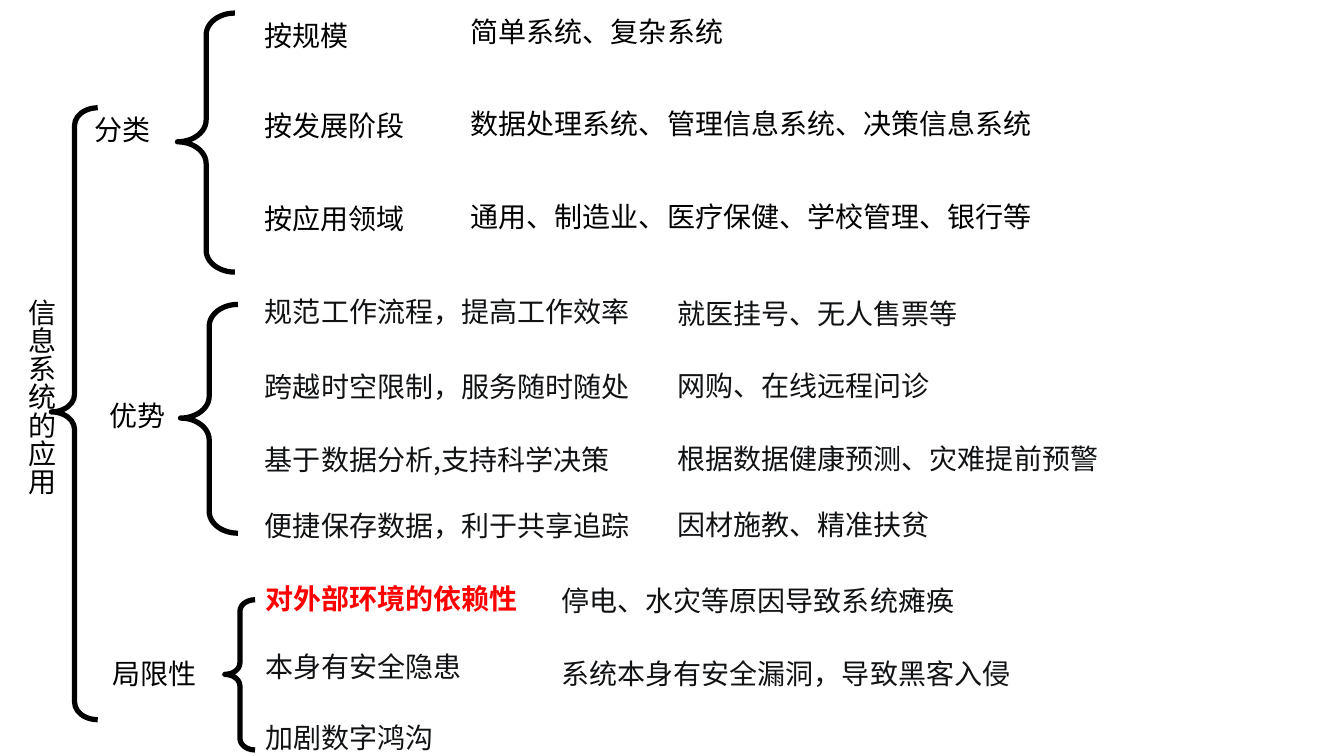
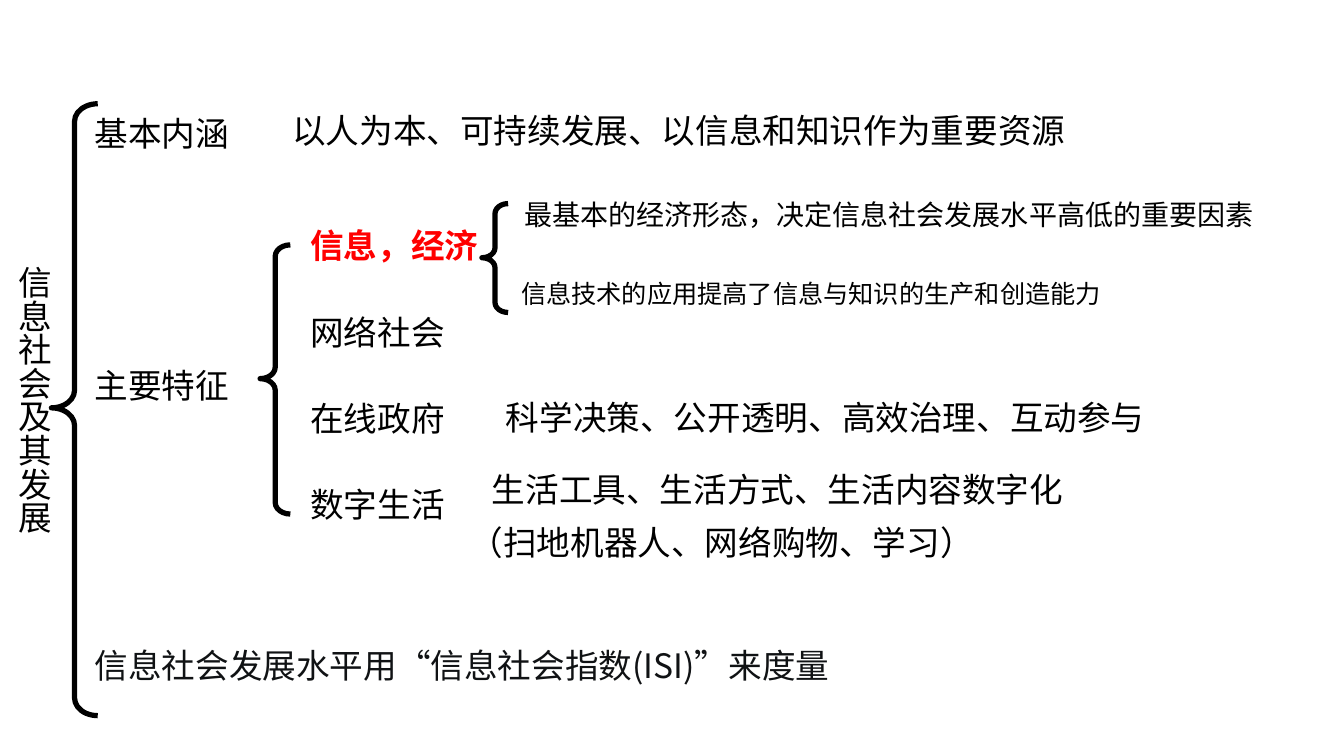
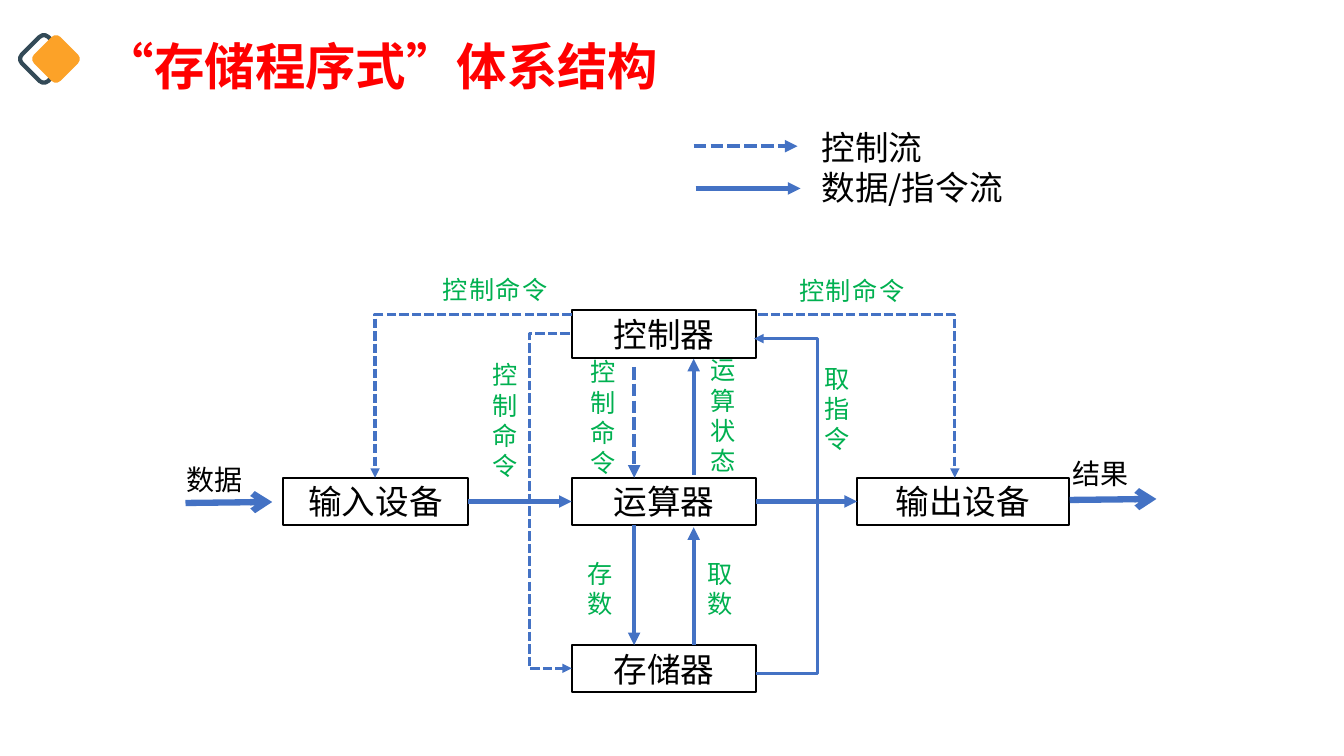
from dataclasses import dataclass
from typing import NamedTuple

from lxml.etree import SubElement
from pptx import Presentation
from pptx.dml.color import RGBColor
from pptx.enum.dml import MSO_LINE
from pptx.enum.shapes import MSO_CONNECTOR, MSO_SHAPE
from pptx.enum.text import MSO_ANCHOR, MSO_AUTO_SIZE, PP_ALIGN
from pptx.oxml.ns import qn
from pptx.util import Inches, Pt


class Box(NamedTuple):
    x: float
    y: float
    w: float
    h: float

    def inches(self):
        return [Inches(v) for v in self]


class Style(NamedTuple):
    size: int
    color: str
    bold: bool = False
    spacing: int = 0


@dataclass(frozen=True)
class Theme:
    font: str = "Noto Sans CJK SC"
    black: str = "000000"
    blue: str = "4472C4"
    slate: str = "334A57"
    orange: str = "FCA228"
    title: Style = Style(36, "FF0000", True)
    large: Style = Style(24, "000000")
    large_ink: Style = Style(24, "101214")
    large_key: Style = Style(24, "FF0000", True)
    body: Style = Style(20, "000000")
    body_ink: Style = Style(20, "101214")
    body_key: Style = Style(20, "FF0000", True)
    small: Style = Style(18, "000000")
    signal: Style = Style(18, "00B050", spacing=100)
    brace_line: float = 3.75


THEME = Theme()


def rgb(color):
    return RGBColor.from_string(color)


def format_text(tf, style, align=PP_ALIGN.LEFT):
    for p in tf.paragraphs:
        p.alignment = align
        for r in p.runs:
            r.font.name = THEME.font
            r.font.size = Pt(style.size)
            r.font.bold = style.bold
            r.font.color.rgb = rgb(style.color)
            r_pr = r.font._element
            SubElement(r_pr, qn("a:ea")).set("typeface", THEME.font)
            if style.spacing:
                r_pr.set("spc", str(style.spacing))


def add_text(slide, box, text, style, wrap=True, vertical=False):
    tf = slide.shapes.add_textbox(*box.inches()).text_frame
    tf.text = text
    tf.word_wrap = wrap
    tf.auto_size = MSO_AUTO_SIZE.SHAPE_TO_FIT_TEXT
    if vertical:
        tf._txBody.bodyPr.set("vert", "eaVert")
    format_text(tf, style)
    return tf


def add_shape(slide, kind, box, line=None, width=0, fill=None):
    sp = slide.shapes.add_shape(kind, *box.inches())
    sp.shadow.inherit = False
    if fill:
        sp.fill.solid()
        sp.fill.fore_color.rgb = rgb(fill)
    else:
        sp.fill.background()
    if line:
        sp.line.color.rgb = rgb(line)
        sp.line.width = Pt(width)
    else:
        sp.line.fill.background()
    return sp


def add_arrow(slide, start, end, width=3, dashed=False, head="triangle",
              kind=MSO_CONNECTOR.STRAIGHT):
    cx = slide.shapes.add_connector(kind, *[Inches(v) for v in (*start, *end)])
    cx.line.color.rgb = rgb(THEME.blue)
    cx.line.width = Pt(width)
    if dashed:
        cx.line.dash_style = MSO_LINE.SQUARE_DOT
    SubElement(cx.line._get_or_add_ln(), qn("a:tailEnd")).set("type", head)
    SubElement(cx._element.spPr, qn("a:effectLst"))
    return cx


def add_corner(slide, start, end):
    """Dashed arrow that runs across and then down."""
    cx = add_arrow(slide, start, end, 2.25, True, kind=MSO_CONNECTOR.ELBOW)
    cx._element.spPr.prstGeom.set("prst", "bentConnector2")


def add_detour(slide, start, end, via_x, dashed=False):
    """Elbow arrow whose vertical part lies at via_x, outside its two ends."""
    cx = add_arrow(slide, start, end, 2.25, dashed, kind=MSO_CONNECTOR.ELBOW)
    ratio = (via_x - start[0]) / (end[0] - start[0])
    guide = SubElement(cx._element.spPr.prstGeom.get_or_add_avLst(), qn("a:gd"))
    guide.set("name", "adj1")
    guide.set("fmla", f"val {round(ratio * 100000)}")


def add_branch(slide, box, style, columns):
    """Brace in the box; columns are (dx, width, rows), rows (dy, text[, style])."""
    brace = add_shape(slide, MSO_SHAPE.LEFT_BRACE, box, THEME.black, THEME.brace_line)
    brace.adjustments[0] = 0.38
    brace.adjustments[1] = 0.497
    for dx, width, rows in columns:
        for dy, text, *own in rows:
            used = own[0] if own else style
            spot = Box(box.x + dx, box.y + dy, width, used.size / 45)
            add_text(slide, spot, text, used)


def add_root(slide, box, text, style):
    add_text(slide, box, text, style, wrap=False, vertical=True)


def applications_slide(prs):
    slide = prs.slides.add_slide(prs.slide_layouts[6])
    add_root(slide, Box(0.09, 2.87, 0.54, 2.06), "信息系统的应用", THEME.body)
    add_branch(slide, Box(0.51, 1.07, 0.46, 6.07), THEME.body, [
        (0.33, 0.89, [(0, "分类")]),
        (0.48, 0.89, [(2.83, "优势")]),
        (0.51, 1.34, [(5.39, "局限性")]),
    ])
    add_branch(slide, Box(1.76, 0.13, 0.57, 2.57), THEME.body, [
        (0.76, 2.05, [(0, "按规模"), (0.9, "按发展阶段"), (1.82, "按应用领域")]),
        (2.81, 7.92, [(-0.04, "简单系统、复杂系统"),
                      (0.88, "数据处理系统、管理信息系统、决策信息系统"),
                      (1.8, "通用、制造业、医疗保健、学校管理、银行等")]),
    ])
    add_branch(slide, Box(1.79, 3.02, 0.57, 2.27), THEME.body_ink, [
        (0.74, 4.7, [(-0.15, "规范工作流程，提高工作效率"),
                     (0.6, "跨越时空限制，服务随时随处"),
                     (1.32, "基于数据分析,支持科学决策"),
                     (1.98, "便捷保存数据，利于共享追踪")]),
        (4.83, 5.51, [(-0.13, "就医挂号、无人售票等"),
                      (0.59, "网购、在线远程问诊"),
                      (1.31, "根据数据健康预测、灾难提前预警"),
                      (1.97, "因材施教、精准扶贫")]),
    ])
    add_branch(slide, Box(2.23, 5.95, 0.3, 1.49), THEME.body_ink, [
        (0.3, 3.18, [(-0.23, "对外部环境的依赖性", THEME.body_key),
                     (0.44, "本身有安全隐患"), (1.15, "加剧数字鸿沟")]),
        (3.24, 5.88, [(-0.21, "停电、水灾等原因导致系统瘫痪"),
                      (0.51, "系统本身有安全漏洞，导致黑客入侵")]),
    ])


def society_slide(prs):
    slide = prs.slides.add_slide(prs.slide_layouts[6])
    add_root(slide, Box(-0.02, 2.54, 0.61, 2.79), "信息社会及其发展", THEME.large)
    add_branch(slide, Box(0.51, 1.03, 0.46, 6.07), THEME.large, [
        (0.33, 1.74, [(0.04, "基本内涵"), (2.54, "主要特征")]),
        (2.29, 8.31, [(0.01, "以人为本、可持续发展、以信息和知识作为重要资源")]),
        (0.33, 7.55, [(5.32, "信息社会发展水平用“信息社会指数(ISI)”来度量",
                       THEME.large_ink)]),
    ])
    add_branch(slide, Box(2.58, 2.43, 0.3, 2.67), THEME.large, [
        (0.4, 1.99, [(-0.25, "信息，经济", THEME.large_key), (0.61, "网络社会"),
                     (1.47, "在线政府"), (2.32, "数字生活")]),
        (2.34, 6.74, [(1.46, "科学决策、公开透明、高效治理、互动参与")]),
        (2.2, 6.74, [(2.17, "生活工具、生活方式、生活内容数字化")]),
        (1.98, 6.74, [(2.7, "（扫地机器人、网络购物、学习）")]),
    ])
    add_branch(slide, Box(4.78, 2.02, 0.26, 1.08), THEME.body, [
        (0.32, 8.2, [(-0.11, "最基本的经济形态，决定信息社会发展水平高低的重要因素")]),
        (0.29, 8.2, [(0.69, "信息技术的应用提高了信息与知识的生产和创造能力",
                      THEME.small)]),
    ])


def add_heading(slide, box, text):
    title = slide.shapes.title
    title.left, title.top, title.width, title.height = box.inches()
    tf = title.text_frame
    tf.text = text
    tf.vertical_anchor = MSO_ANCHOR.TOP
    tf.auto_size = MSO_AUTO_SIZE.NONE
    format_text(tf, THEME.title)
    marks = [(0.25, dict(line=THEME.slate, width=3)), (0.37, dict(fill=THEME.orange))]
    for x, look in marks:
        mark = add_shape(slide, MSO_SHAPE.ROUNDED_RECTANGLE,
                         Box(x, 0.4, 0.37, 0.37), **look)
        mark.rotation = 45


def add_legend(slide, x, y):
    tf = add_text(slide, Box(x + 1.17, y, 3.67, 0.91), "控制流\n数据/指令流", THEME.large)
    tf.vertical_anchor = MSO_ANCHOR.MIDDLE
    add_arrow(slide, (x, y + 0.25), (x + 1.03, y + 0.25), dashed=True)
    add_arrow(slide, (x + 0.02, y + 0.67), (x + 1.06, y + 0.67))


def add_unit(slide, x, y, text, width=1.83):
    sp = add_shape(slide, MSO_SHAPE.RECTANGLE, Box(x, y, width, 0.47), THEME.black, 1.5)
    tf = sp.text_frame
    tf.text = text
    tf.vertical_anchor = MSO_ANCHOR.MIDDLE
    format_text(tf, THEME.large, PP_ALIGN.CENTER)
    return sp


def add_machine(slide, x, y):
    """Five units, with x, y at the left of the input unit and top of the controller."""
    mid_x, mid_y, low_y = x + 2.86, y + 1.66, y + 3.32
    source = add_unit(slide, x, mid_y, "输入设备")
    alu = add_unit(slide, mid_x, mid_y, "运算器")
    sink = add_unit(slide, x + 5.69, mid_y, "输出设备", 2.1)
    add_unit(slide, mid_x, y, "控制器")
    add_unit(slide, mid_x, low_y, "存储器")

    row_y = mid_y + 0.235
    for left, right, x1, x2 in [(source, alu, x + 1.83, mid_x),
                                (alu, sink, mid_x + 1.83, x + 5.69)]:
        cx = add_arrow(slide, (x1, row_y), (x2, row_y))
        cx.begin_connect(left, 3)
        cx.end_connect(right, 1)

    down_x, up_x = mid_x + 0.62, mid_x + 1.21
    add_arrow(slide, (down_x, y + 0.56), (down_x, mid_y), dashed=True)
    add_arrow(slide, (down_x, mid_y + 0.47), (down_x, low_y))
    add_arrow(slide, (up_x, mid_y - 0.03), (up_x, y + 0.48))
    add_arrow(slide, (up_x, low_y), (up_x, mid_y + 0.49))

    add_corner(slide, (mid_x, y + 0.04), (x + 0.91, mid_y))
    add_corner(slide, (mid_x + 1.85, y + 0.04), (x + 6.66, mid_y))
    add_detour(slide, (mid_x - 0.02, y + 0.23), (mid_x, low_y + 0.23), x + 2.44, True)
    add_detour(slide, (mid_x + 1.83, low_y + 0.28), (mid_x + 1.81, y + 0.28), x + 5.3)

    for dx, dy, w, h, text in [
        (1.48, -0.41, 1.34, 0.4, "控制命令"), (5.02, -0.4, 1.34, 0.4, "控制命令"),
        (1.98, 0.44, 0.51, 1.31, "控制命令"), (2.95, 0.41, 0.51, 1.31, "控制命令"),
        (4.14, 0.39, 0.51, 1.31, "运算状态"), (5.27, 0.47, 0.51, 1.01, "取指令"),
        (2.92, 2.41, 0.51, 0.71, "存数"), (4.11, 2.41, 0.51, 0.71, "取数"),
    ]:
        add_text(slide, Box(x + dx, y + dy, w, h), text, THEME.signal)


def add_port(slide, x, y, text, text_dx, text_dy):
    """Thick outer arrow with its label."""
    add_arrow(slide, (x, y), (x + 0.86, y - 0.01), 4.5, head="arrow")
    add_text(slide, Box(x + text_dx, y + text_dy, 0.76, 0.44), text, THEME.body, wrap=False)


def architecture_slide(prs):
    slide = prs.slides.add_slide(prs.slide_layouts[5])
    add_heading(slide, Box(0.93, 0.3, 5.95, 0.71), "“存储程序式”体系结构")
    add_legend(slide, 6.88, 1.2)
    add_machine(slide, 2.81, 3.08)
    add_port(slide, 1.84, 4.99, "数据", -0.09, -0.45)
    add_port(slide, 10.61, 4.96, "结果", -0.07, -0.48)


def main():
    prs = Presentation()
    prs.slide_width = Inches(13.33)
    prs.slide_height = Inches(7.5)
    applications_slide(prs)
    society_slide(prs)
    architecture_slide(prs)
    prs.save("out.pptx")


if __name__ == "__main__":
    main()
